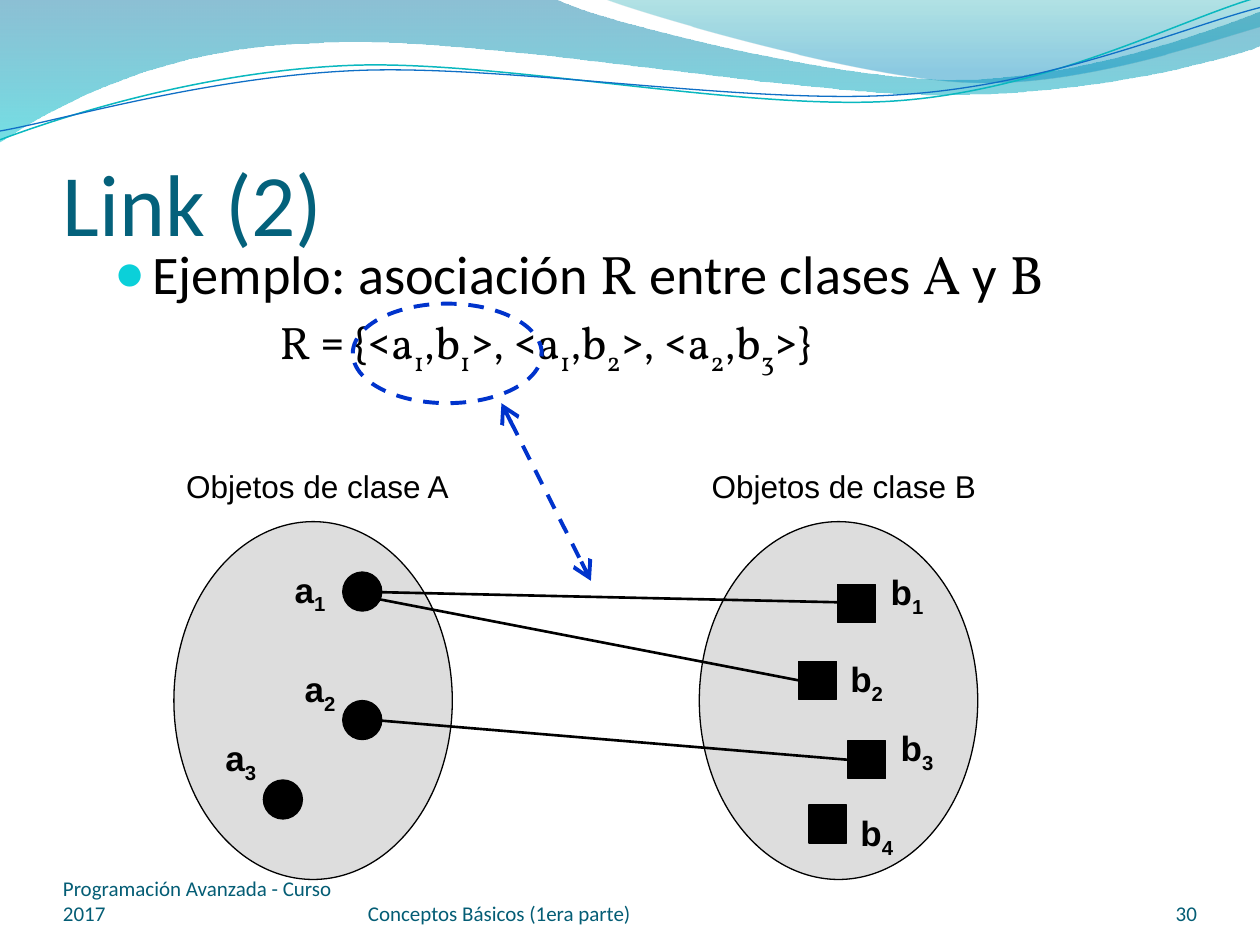
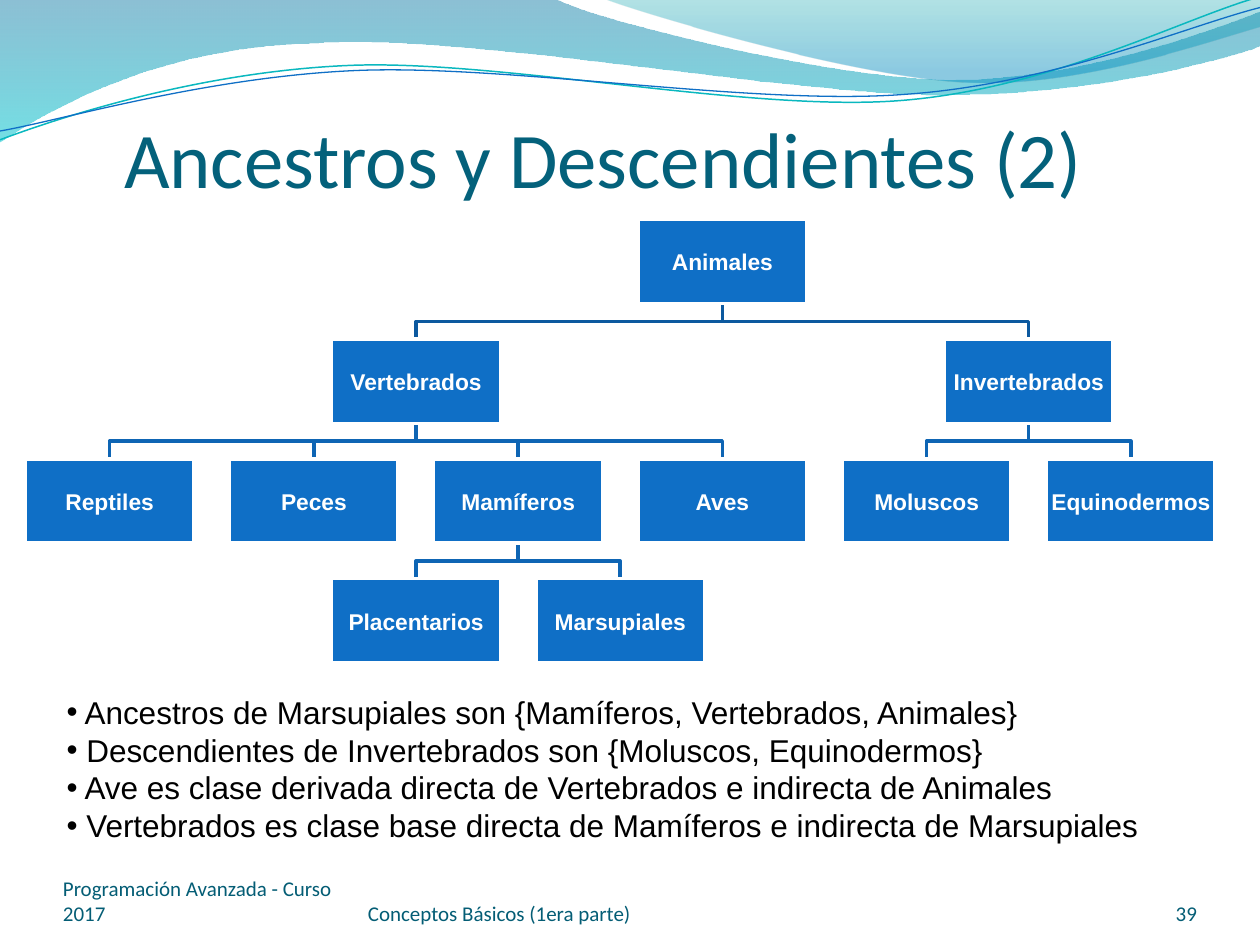
import lxml.etree
import pptx
import pptx.dml.color
import pptx.enum.dml
import pptx.enum.shapes
import pptx.enum.text
import pptx.oxml.ns
import pptx.util

RGB = pptx.dml.color.RGBColor
FORM = pptx.enum.shapes.MSO_SHAPE
ALIGN = pptx.enum.text.PP_ALIGN
ANCHOR = pptx.enum.text.MSO_ANCHOR
DASH = pptx.enum.dml.MSO_LINE.DASH
STRAIGHT = pptx.enum.shapes.MSO_CONNECTOR.STRAIGHT
Pt = pptx.util.Pt
qn = pptx.oxml.ns.qn
add = lxml.etree.SubElement

BLACK = RGB(0x00, 0x00, 0x00)
WHITE = RGB(0xFF, 0xFF, 0xFF)
GRAY = RGB(0xDD, 0xDD, 0xDD)
TITLE = RGB(0x04, 0x61, 0x7B)
FOOT = RGB(0x04, 0x5D, 0x75)
AQUA = RGB(0x0B, 0xD0, 0xD9)
TEAL = RGB(0x0A, 0xB8, 0xBF)
BLUE = RGB(0x0F, 0x6F, 0xC6)
MARK = RGB(0x00, 0x33, 0xCC)
TOP_LINK = RGB(0x0C, 0x59, 0x9F)
LOW_LINK = RGB(0x0E, 0x65, 0xB4)
DEEP = RGB(0x00, 0x74, 0xA1)
CYAN = RGB(0x00, 0xC6, 0xCF)
GREEN = RGB(0x00, 0xA1, 0xA9)
SKY = RGB(0x00, 0x8B, 0xBF)

deck = pptx.Presentation()
deck.slide_width = pptx.util.Inches(10)
deck.slide_height = pptx.util.Inches(7.5)
CELL = deck.slide_width // 100


def write(page, box, lines, on=None, size=18, font="Arial", color=BLACK, bold=False,
          align=ALIGN.LEFT, anchor=ANCHOR.TOP, inset=(1, 0.5, 1, 0.5), wrap=True,
          indent=0, hang=0, before=0, bullet=None, tint=None):
    item = on or page.shapes.add_textbox(*[round(n * CELL) for n in box])
    frame = item.text_frame
    frame.word_wrap = wrap
    if not wrap:
        frame.auto_size = pptx.enum.text.MSO_AUTO_SIZE.SHAPE_TO_FIT_TEXT
    frame.vertical_anchor = anchor
    sides = [round(n * CELL) for n in inset]
    frame.margin_left, frame.margin_top, frame.margin_right, frame.margin_bottom = sides
    for line in lines:
        para = frame.add_paragraph() if frame.text else frame.paragraphs[0]
        para.alignment = align
        para.space_before = Pt(before)
        props = para._p.get_or_add_pPr()
        props.set("marL", str(round(indent * CELL)))
        props.set("indent", str(round(-hang * CELL)))
        if tint:
            add(add(props, qn("a:buClr")), qn("a:srgbClr"), val=str(tint))
            add(props, qn("a:buSzPct"), val="95000")
        if bullet:
            add(props, qn("a:buFont"), typeface="Arial")
            add(props, qn("a:buChar"), char=bullet)
        for part in line.split("|"):
            run = para.add_run()
            run.text = part.lstrip("*_")
            run.font.size = Pt(size)
            run.font.name = "Vollkorn" if part.startswith("*") else font
            run.font.bold = bold
            run.font.color.rgb = color
            if "_" in part:
                run.font._element.set("baseline", "-25000")
    return item


def paint(item, fill=None, line=None, width=0.75, dash=None):
    if line is None:
        item.line.fill.background()
    else:
        item.line.color.rgb = line
        item.line.width = Pt(width)
    if dash:
        item.line.dash_style = dash
    if not hasattr(item, "fill"):
        add(item._element.spPr, qn("a:effectLst"))
        return
    item.shadow.inherit = False
    if fill is None:
        item.fill.background()
    elif isinstance(fill, RGB):
        item.fill.solid()
        item.fill.fore_color.rgb = fill
    else:
        item.fill.gradient()
        item.fill.gradient_angle = 270
        for stop, (place, color, alpha) in zip(item.fill.gradient_stops, fill):
            stop.position = place
            stop.color.rgb = color
            tone = item._element.spPr.findall(".//" + qn("a:srgbClr"))
            add(tone[-1] if place else tone[0], qn("a:alpha"), val=str(alpha * 1000))


waves = [
    ([(0, 0), (44, -0.1), (47.6, 1.7, 66.4, 6.3, 75.8, 6.3), (85.3, 6.3, 95.8, 2.6, 100, 0.9),
      (100.1, 3.6), (98.3, 4.4, 87, 7.6, 74.6, 7.5), (62.2, 7.5, 38.2, 2.8, 25.7, 3.4),
      (12.9, 3.6, 4.6, 8.3, -0.1, 11.3)],
     {"fill": [(0, DEEP, 45), (1, CYAN, 55)]}),
    ([(47.9, -0.1), (50.9, 1.1, 68.2, 6.2, 76.9, 6.5), (85.6, 6.9, 96.1, 3.2, 100, 2.1),
      (100, 0)],
     {"fill": [(0, GREEN, 30), (0.8, SKY, 45)]}),
    ([(0, 11.1), (4.8, 9.3, 15.8, 5.7, 27.7, 5.2), (39.5, 4.7, 59.3, 8.9, 71.3, 8),
      (83.3, 7.1, 93.8, 1.5, 99.8, -0.2)],
     {"line": TEAL, "width": 0.85}),
    ([(0, 10.4), (4.7, 9.6, 16.4, 6.1, 28.3, 5.6), (40.3, 5.1, 59.7, 8.4, 71.7, 7.5),
      (83.6, 6.7, 94.1, 2.1, 100, 0.6)],
     {"line": BLUE}),
]

heads = [
    ("Link (2)", (5, 7.65, 90, 12.5), 50, "30"),
    ("Ancestros y Descendientes (2)", (9.85, 8.95, 83.3, 7.3), 45, "39"),
]
for head, box, size, number in heads:
    page = deck.slides.add_slide(deck.slide_layouts[6])
    for parts, style in waves:
        dots = [(round(part[k] * CELL), round(part[k + 1] * CELL))
                for part in parts for k in range(0, len(part), 2)]
        pen = page.shapes.build_freeform(*dots[0])
        pen.add_line_segments(dots[1:], close="fill" in style)
        wave = pen.convert_to_shape()
        legs = iter(wave._element.spPr.findall(".//" + qn("a:lnTo")))
        for part in parts[1:]:
            leg = next(legs)
            if len(part) == 6:
                curve = leg.makeelement(qn("a:cubicBezTo"))
                leg.addprevious(curve)
                for knot in (leg, next(legs), next(legs)):
                    curve.append(knot[0])
                    knot.getparent().remove(knot)
        paint(wave, **style)
    write(page, box, [head], size=size, font="Calibri", color=TITLE,
          anchor=ANCHOR.BOTTOM, inset=(0, 0.5, 0, 0))
    for left, wide, text, align in [
        (5, 23.3, "Programación Avanzada - Curso 2017", ALIGN.LEFT),
        (29.2, 36.7, "Conceptos Básicos (1era parte)", ALIGN.LEFT),
        (86.7, 8.3, number, ALIGN.RIGHT),
    ]:
        write(page, (left, 69.5, wide, 4), [text], size=12, font="Calibri", color=FOOT,
              align=align, anchor=ANCHOR.BOTTOM, inset=(0, 0, 0, 0))

link, tree = deck.slides

pad = (0.8, 0.5, 1, 0.5)
body = write(link, (8.3, 18.6, 85.9, 45),
             ["Ejemplo: asociación |*R| entre clases |*A| y |*B"],
             size=31, font="Calibri", inset=pad, indent=3, hang=3, before=6,
             bullet="●", tint=AQUA)
write(link, None,
      ["*R| = {<|*a|*_1|,|*b|*_1|>, <|*a|*_1|,|*b|*_2|>, <|*a|*_2|,|*b|*_3|>}"],
      on=body, size=26, font="Calibri", inset=pad, indent=13.1, before=5)

sets = [
    ("A", 13.8, FORM.OVAL, 3.1, [(27.2, 45.4), (27.2, 55.6), (20.9, 61.9)],
     [(22.4, 44.6), (23.2, 52.5), (16.9, 58)]),
    ("B", 55.5, FORM.RECTANGLE, 3, [(66.5, 46.4), (63.4, 52.5), (67.3, 58.8), (64.2, 63.9)],
     [(69.7, 44.8), (66.5, 51.7), (70.5, 57.2), (67.3, 63.9)]),
]
for name, left, form, side, spots, tags in sets:
    blob = link.shapes.add_shape(FORM.OVAL, *[round(n * CELL) for n in (left, 41.4, 22.1, 28.4)])
    paint(blob, GRAY, BLACK)
    write(link, (left, 36.6, 23, 4), ["Objetos de clase " + name], wrap=False)
    for count, (spot, tag) in enumerate(zip(spots, tags), 1):
        item = link.shapes.add_shape(form, *[round(n * CELL) for n in (*spot, side, side)])
        paint(item, BLACK, BLACK)
        write(link, (*tag, 4.6, 4.3), [f"{name.lower()}|_{count}"],
              size=20, bold=True, wrap=False)

for ends in [(30.3, 47, 66.5, 47.8), (27.2, 47, 63.4, 54), (30.3, 57.2, 67.3, 60.3)]:
    line = link.shapes.add_connector(STRAIGHT, *[round(n * CELL) for n in ends])
    paint(line, line=BLACK, width=1.5)

ring = link.shapes.add_shape(FORM.OVAL, *[round(n * CELL) for n in (28, 24.1, 15, 7.9)])
paint(ring, line=MARK, width=2.25, dash=DASH)
arrow = link.shapes.add_connector(STRAIGHT, *[round(n * CELL) for n in (39.8, 32, 46.9, 46.1)])
paint(arrow, line=MARK, width=2.25, dash=DASH)
for end in ("a:headEnd", "a:tailEnd"):
    add(arrow.line._get_or_add_ln(), qn(end), type="arrow", w="lg", len="lg")

WIDE, HIGH = 13.4, 6.7
nodes = {
    "Animales": (3, 0, None),
    "Vertebrados": (1.5, 1, "Animales"),
    "Invertebrados": (4.5, 1, "Animales"),
    "Reptiles": (0, 2, "Vertebrados"),
    "Peces": (1, 2, "Vertebrados"),
    "Mamíferos": (2, 2, "Vertebrados"),
    "Aves": (3, 2, "Vertebrados"),
    "Moluscos": (4, 2, "Invertebrados"),
    "Equinodermos": (5, 2, "Invertebrados"),
    "Placentarios": (1.5, 3, "Mamíferos"),
    "Marsupiales": (2.5, 3, "Mamíferos"),
}
spots = {name: (2 + 16.21 * col, 17.4 + 9.51 * row) for name, (col, row, _) in nodes.items()}
for name, (col, row, above) in nodes.items():
    if above:
        x, y = spots[name]
        start = spots[above][0] + WIDE / 2
        stop = x + WIDE / 2
        bend = [(start, y - 2.8), (start, y - 1.4), (stop, y - 1.4), (stop, y)]
        bend = [(round(a * CELL), round(b * CELL)) for a, b in bend]
        pen = tree.shapes.build_freeform(*bend[0])
        pen.add_line_segments(bend[1:], close=False)
        paint(pen.convert_to_shape(), line=TOP_LINK if row == 1 else LOW_LINK, width=2)
for name, spot in spots.items():
    box = (*spot, WIDE, HIGH)
    item = tree.shapes.add_shape(FORM.RECTANGLE, *[round(n * CELL) for n in box])
    paint(item, BLUE, WHITE, 2)
    write(tree, box, [name], on=item, size=13, color=WHITE, bold=True,
          align=ALIGN.CENTER, anchor=ANCHOR.MIDDLE, inset=(0.1, 0.1, 0.1, 0.1))

write(tree, (4.3, 54.5, 87.2, 16), [
    " Ancestros de Marsupiales son {Mamíferos, Vertebrados, Animales}",
    " Descendientes de Invertebrados son {Moluscos, Equinodermos}",
    " Ave es clase derivada directa de Vertebrados e indirecta de Animales",
    " Vertebrados es clase base directa de Mamíferos e indirecta de Marsupiales",
], bullet="•", wrap=False)

deck.save("out.pptx")
